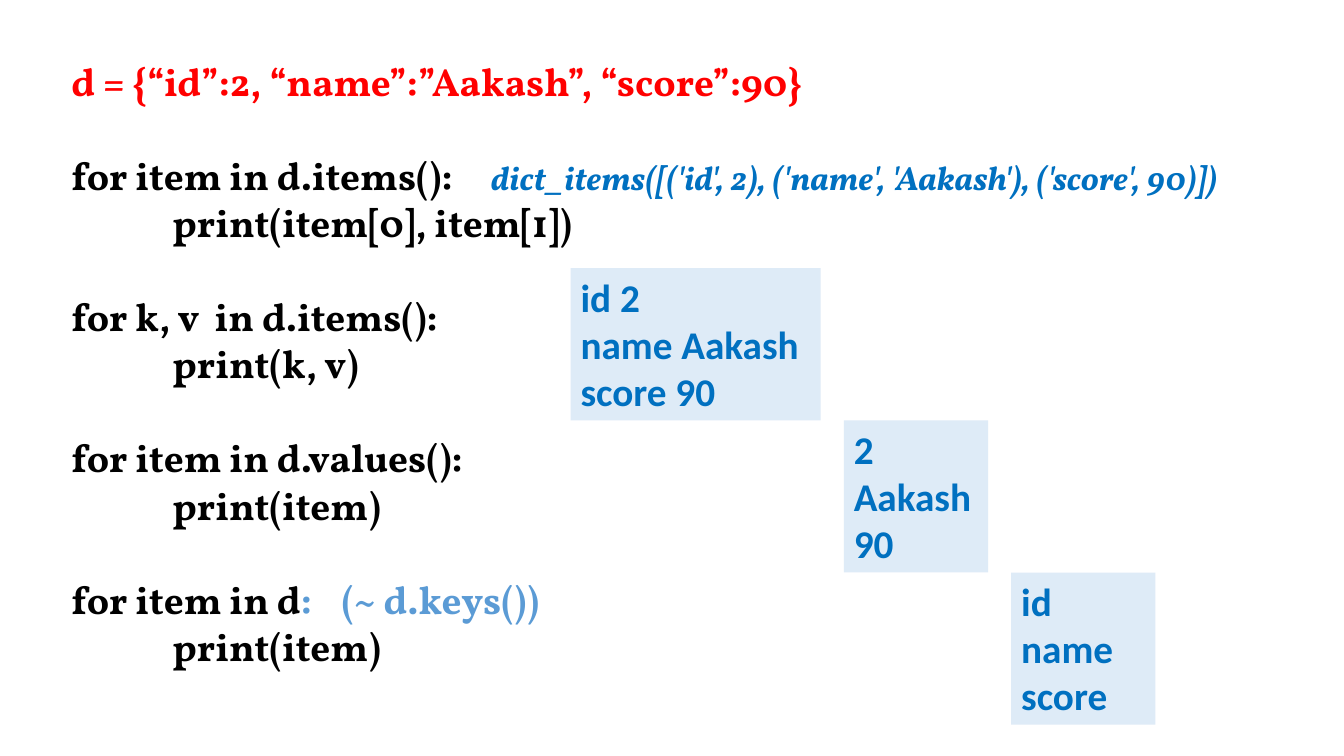
"""Builds a slide on looping over a dictionary, with the output of each loop."""
from dataclasses import dataclass

from lxml import etree
from pptx import Presentation
from pptx.dml.color import RGBColor
from pptx.enum.shapes import MSO_SHAPE
from pptx.enum.text import MSO_ANCHOR, PP_ALIGN
from pptx.oxml.ns import qn
from pptx.util import Inches, Pt

RECTANGLE = MSO_SHAPE.RECTANGLE
TOP = MSO_ANCHOR.TOP
LEFT = PP_ALIGN.LEFT


@dataclass(frozen=True)
class Theme:
    """Colours, fonts and type sizes of the slide."""
    definition: str = "FF0000"
    code: str = "000000"
    result: str = "0070C0"
    remark: str = "5B9BD5"
    panel: str = "DEEBF7"
    code_font: str = "Vollkorn"
    output_font: str = "Calibri"
    size: float = 28
    note_size: float = 24
    gap: float = 33.6


THEME = Theme()

LOOPS = [
    ("for item in d.items():", "print(item[0], item[1])"),
    ("for k, v  in d.items():", "print(k, v)"),
    ("for item in d.values():", "print(item)"),
    ("for item in d", "print(item)"),
]
OUTPUTS = [
    (2.48, ["id 2", "name Aakash", "score 90"]),
    (1.43, ["2", "Aakash", "90"]),
    (1.43, ["id", "name", "score"]),
]


def add_text(p, text, font=THEME.code_font, size=THEME.size, color=THEME.code, italic=False):
    """Add a bold run to a paragraph."""
    r = p.add_run()
    r.text = text
    r.font.name = font
    r.font.size = Pt(size)
    r.font.bold = True
    r.font.italic = italic
    r.font.color.rgb = RGBColor.from_string(color)


def set_tab(p, position):
    """Give a paragraph one left tab stop."""
    tabs = etree.SubElement(p._p.get_or_add_pPr(), qn("a:tabLst"))
    etree.SubElement(tabs, qn("a:tab"), pos=str(Inches(position)), algn="l")


def add_code(s, left, top, width, height):
    """Write the dictionary and the loops over it."""
    sp = s.shapes.add_textbox(Inches(left), Inches(top), Inches(width), Inches(height))
    tf = sp.text_frame
    tf.word_wrap = True
    add_text(tf.paragraphs[0], "d = {“id”:2, “name”:”Aakash”, “score”:90}",
             color=THEME.definition)
    heads = []
    for head, body in LOOPS:
        p = tf.add_paragraph()
        p.space_before = Pt(THEME.gap)
        add_text(p, head)
        heads.append(p)
        p = tf.add_paragraph()
        p._p.get_or_add_pPr().set("marL", str(Inches(1)))
        add_text(p, body)
    set_tab(heads[0], 4.16)
    add_text(heads[0], "\tdict_items([('id', 2), ('name', 'Aakash'), ('score', 90)])",
             size=THEME.note_size, color=THEME.result, italic=True)
    set_tab(heads[-1], 2.68)
    add_text(heads[-1], ":\t(~ d.keys())", color=THEME.remark)


def add_output(s, left, top, width, height, lines):
    """Draw a panel with the printed lines of one loop."""
    sp = s.shapes.add_shape(RECTANGLE, Inches(left), Inches(top), Inches(width), Inches(height))
    sp.shadow.inherit = False
    sp.fill.solid()
    sp.fill.fore_color.rgb = RGBColor.from_string(THEME.panel)
    sp.line.fill.background()
    tf = sp.text_frame
    tf.word_wrap = True
    tf.vertical_anchor = TOP
    for i, line in enumerate(lines):
        p = tf.add_paragraph() if i else tf.paragraphs[0]
        p.alignment = LEFT
        add_text(p, line, font=THEME.output_font, color=THEME.result)


def add_output_stairs(s, left, top, height, gap):
    """Step the output panels down and to the right."""
    for i, (width, lines) in enumerate(OUTPUTS):
        add_output(s, left, top + i * height, width, height, lines)
        left += width + gap


prs = Presentation()
prs.slide_width = Inches(13.33)
prs.slide_height = Inches(7.5)
s = prs.slides.add_slide(prs.slide_layouts[6])
add_code(s, 0.61, 0.52, 12.28, 6.9)
add_output_stairs(s, 5.66, 2.66, 1.51, 0.23)
prs.save("out.pptx")
